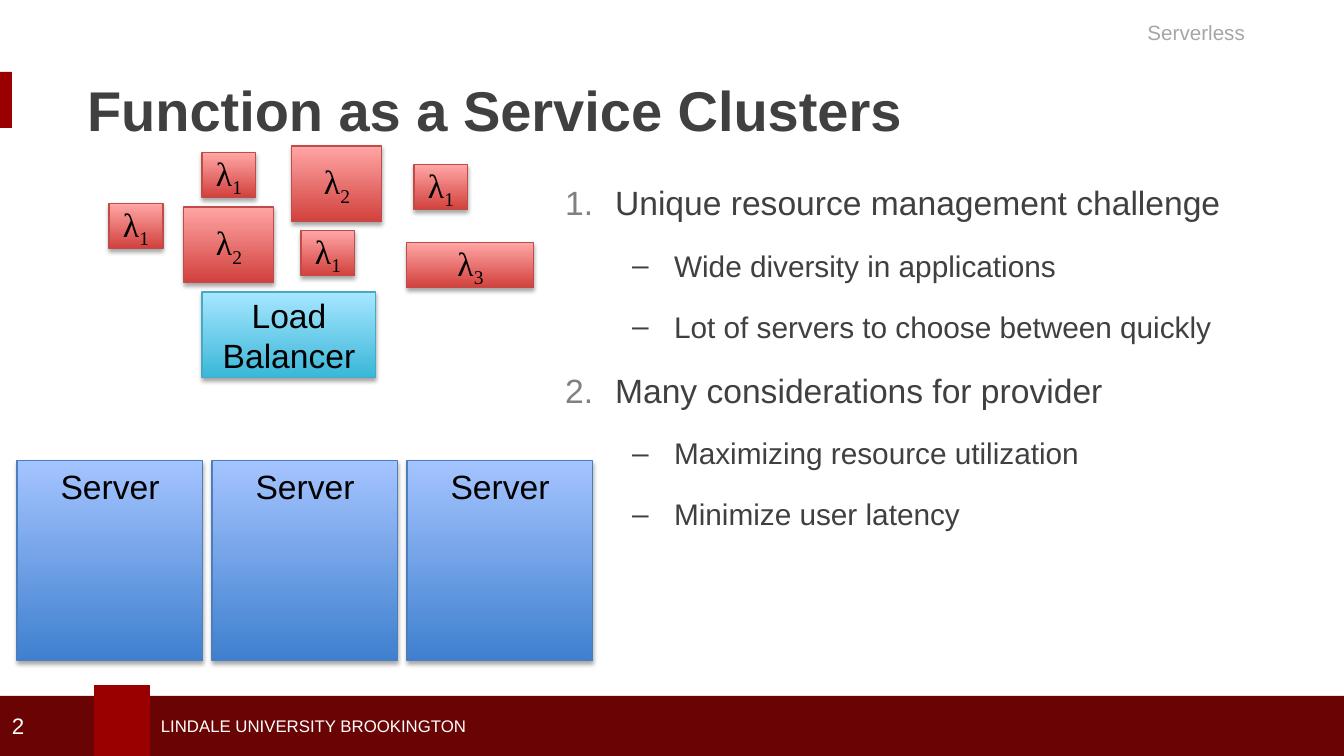
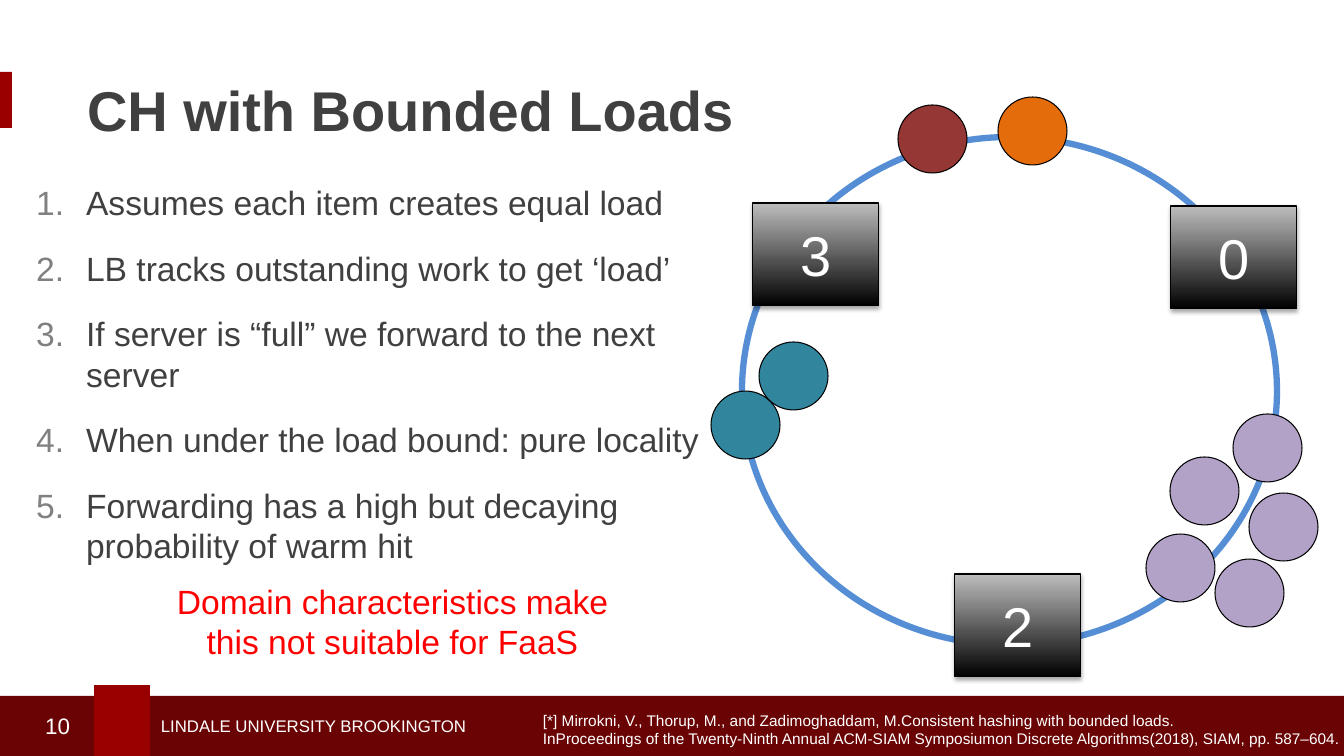
"""Build two lecture slides on serverless function clusters and load balancing."""
from dataclasses import dataclass

from lxml import etree
from pptx import Presentation
from pptx.dml.color import RGBColor
from pptx.enum.shapes import MSO_SHAPE
from pptx.enum.text import MSO_ANCHOR, MSO_AUTO_SIZE, PP_ALIGN
from pptx.oxml import parse_xml
from pptx.oxml.ns import nsdecls, qn
from pptx.util import Emu, Pt

RECT, OVAL = MSO_SHAPE.RECTANGLE, MSO_SHAPE.OVAL
LEFT, CENTER, RIGHT = PP_ALIGN.LEFT, PP_ALIGN.CENTER, PP_ALIGN.RIGHT
TOP, MIDDLE = MSO_ANCHOR.TOP, MSO_ANCHOR.MIDDLE
NO_FIT = MSO_AUTO_SIZE.NONE
WIDTH, HEIGHT = 1344, 756
SCALE = 12192000 / WIDTH


@dataclass(frozen=True)
class Theme:
    font: str = "Arial"
    math_font: str = "Times New Roman"
    text: str = "404041"
    muted: str = "A6A6A6"
    number: str = "808080"
    white: str = "FFFFFF"
    black: str = "000000"
    alert: str = "FF0000"
    band: str = "690304"
    accent: str = "990000"
    ring: str = "558ED5"
    maroon: str = "953735"
    orange: str = "E46C0A"
    teal: str = "31859C"
    purple: str = "B3A2C7"
    red_grad: tuple = ("D1403C", "FFA6A5", "BF4C48")
    cyan_grad: tuple = ("39B7D8", "A7E6FF", "46AAC5")
    blue_grad: tuple = ("3F80CE", "A4C4FF", "4B7EBC")
    black_grad: tuple = ("000000", "BDBDBD", "000000")
    title_pt: float = 40
    body_pt: float = 24
    sub_pt: float = 21.3
    page_pt: float = 16
    tag_pt: float = 14.7
    footer_pt: float = 12
    note_pt: float = 11


T = Theme()
SHADOW = (f'<a:effectLst {nsdecls("a")}><a:outerShdw blurRad="40000" dist="23000" dir="5400000" '
          'rotWithShape="0"><a:srgbClr val="000000"><a:alpha val="35000"/></a:srgbClr>'
          '</a:outerShdw></a:effectLst>')


def write(sp, lines, size, color, align=LEFT, anchor=TOP, font=T.font, bold=False):
    tf = sp.text_frame
    tf.text = "\n".join(lines)
    tf.word_wrap = True
    tf.auto_size = NO_FIT
    tf.vertical_anchor = anchor
    for p in tf.paragraphs:
        p.alignment = align
        for r in p.runs:
            r.font.name, r.font.size, r.font.bold = font, Pt(size), bold
            r.font.color.rgb = RGBColor.from_string(color)
    return tf


def draw(s, kind, box, fill=None, line=None, weight=0.75):
    sp = s.shapes.add_shape(kind, *[Emu(round(v * SCALE)) for v in box])
    sp.shadow.inherit = False
    if isinstance(fill, tuple):
        low, high, line = fill
        sp.fill.gradient()
        sp.fill.gradient_angle = 90
        for stop, color in zip(sp.fill.gradient_stops, (low, high)):
            stop.color.rgb = RGBColor.from_string(color)
        sp._element.spPr.remove(sp._element.spPr.find(qn("a:effectLst")))
    elif fill:
        sp.fill.solid()
        sp.fill.fore_color.rgb = RGBColor.from_string(fill)
    else:
        sp.fill.background()
    if line:
        sp.line.color.rgb = RGBColor.from_string(line)
        sp.line.width = Pt(weight)
    else:
        sp.line.fill.background()
    if isinstance(fill, tuple):
        sp._element.spPr.append(parse_xml(SHADOW))
    return sp


prs = Presentation()
prs.slide_width, prs.slide_height = Emu(round(WIDTH * SCALE)), Emu(round(HEIGHT * SCALE))

pages = [
    ("Function as a Service Clusters", "2", LEFT, (555, 177, 699, 476), [
        (0, "Unique resource management challenge"),
        (1, "Wide diversity in applications"),
        (1, "Lot of servers to choose between quickly"),
        (0, "Many considerations for provider"),
        (1, "Maximizing resource utilization"),
        (1, "Minimize user latency")]),
    ("CH with Bounded Loads", "10", RIGHT, (26, 177, 733, 476), [
        (0, "Assumes each item creates equal load"),
        (0, "LB tracks outstanding work to get ‘load’"),
        (0, "If server is “full” we forward to the next server"),
        (0, "When under the load bound: pure locality"),
        (0, "Forwarding has a high but decaying probability of warm hit")]),
]
indents = [(50, -50), (109, -42)]

for title, page, page_align, body_box, items in pages:
    s = prs.slides.add_slide(prs.slide_layouts[1])
    draw(s, RECT, (0, 696, WIDTH, 60), T.band)
    draw(s, RECT, (94, 685, 56, 71), T.accent)
    draw(s, RECT, (0, 72, 12, 56), T.accent)
    write(draw(s, RECT, (151, 711, 360, 30)), ["LINDALE UNIVERSITY BROOKINGTON"],
          T.footer_pt, T.white, anchor=MIDDLE)
    write(draw(s, RECT, (2, 706, 78, 40)), [page], T.page_pt, T.white, page_align, MIDDLE)

    head, body = s.shapes.title, s.placeholders[1]
    for sp, box in ((head, (77, 58, 1176, 103)), (body, body_box)):
        sp.left, sp.top, sp.width, sp.height = [Emu(round(v * SCALE)) for v in box]
    write(head, [title], T.title_pt, T.text, anchor=MIDDLE, bold=True)
    tf = write(body, [text for _, text in items], T.body_pt, T.text)
    for p, (level, _) in zip(tf.paragraphs, items):
        p.level = level
        p.space_before, p.space_after = Pt(0), Pt(18)
        pPr = p._p.get_or_add_pPr()
        for name, value in zip(("marL", "indent"), indents[level]):
            pPr.set(name, str(round(value * SCALE)))
        if level:
            p.runs[0].font.size = Pt(T.sub_pt)
            etree.SubElement(pPr, qn("a:buFont"), typeface=T.font)
            etree.SubElement(pPr, qn("a:buChar"), char="–")
        else:
            clr = etree.SubElement(pPr, qn("a:buClr"))
            etree.SubElement(clr, qn("a:srgbClr"), val=T.number)
            etree.SubElement(pPr, qn("a:buFont"), typeface=T.font)
            etree.SubElement(pPr, qn("a:buAutoNum"), type="arabicPeriod")

cluster, ring = prs.slides

write(draw(cluster, RECT, (711, 15, 544, 37)), ["Serverless"], T.tag_pt, T.muted, RIGHT)
write(draw(cluster, RECT, (202, 292, 174, 86), T.cyan_grad), ["Load Balancer"],
      T.body_pt, T.black, CENTER, MIDDLE)
for i in range(3):
    write(draw(cluster, RECT, (17 + 195 * i, 461, 186, 200), T.blue_grad), ["Server"],
          T.body_pt, T.black, CENTER)

sizes = {"1": (54, 45), "2": (90, 76), "3": (127, 45)}
functions = [("1", 109, 204), ("1", 202, 153), ("1", 301, 231), ("1", 414, 165),
             ("2", 292, 146), ("2", 184, 207), ("3", 407, 243)]
for index, x, y in functions:
    sp = draw(cluster, RECT, (x, y, *sizes[index]), T.red_grad)
    tf = write(sp, ["λ"], T.body_pt, T.black, CENTER, MIDDLE, T.math_font)
    r = tf.paragraphs[0].add_run()
    r.text = index
    r.font.name, r.font.size = T.math_font, Pt(T.body_pt)
    r.font.color.rgb = RGBColor.from_string(T.black)
    r._r.get_or_add_rPr().set("baseline", "-25000")

draw(ring, OVAL, (742, 137, 535, 508), line=T.ring, weight=4.5)
for label, x, y in [("3", 753, 203), ("0", 1171, 206), ("2", 955, 574)]:
    write(draw(ring, RECT, (x, y, 126, 103), T.black_grad), [label],
          T.title_pt, T.white, CENTER, MIDDLE)

loads = [
    (T.orange, [(998, 97)]),
    (T.maroon, [(898, 105)]),
    (T.teal, [(711, 391), (759, 342)]),
    (T.purple, [(1233, 414), (1170, 457), (1249, 493), (1146, 534), (1215, 559)]),
]
for color, spots in loads:
    for x, y in spots:
        draw(ring, OVAL, (x, y, 69, 68), color, T.black)

tf = write(draw(ring, RECT, (533, 706, 811, 47)), [
    "[*] Mirrokni, V., Thorup, M., and Zadimoghaddam, M.Consistent hashing with bounded loads.",
    "InProceedings of the Twenty-Ninth Annual ACM-SIAM Symposiumon Discrete Algorithms(2018), "
    "SIAM, pp. 587–604."], T.note_pt, T.white)
tf.margin_right = 0
tf.word_wrap = False
write(draw(ring, RECT, (157, 576, 471, 92)),
      ["Domain characteristics make this not suitable for FaaS"], T.body_pt, T.alert, CENTER)

prs.save("out.pptx")
